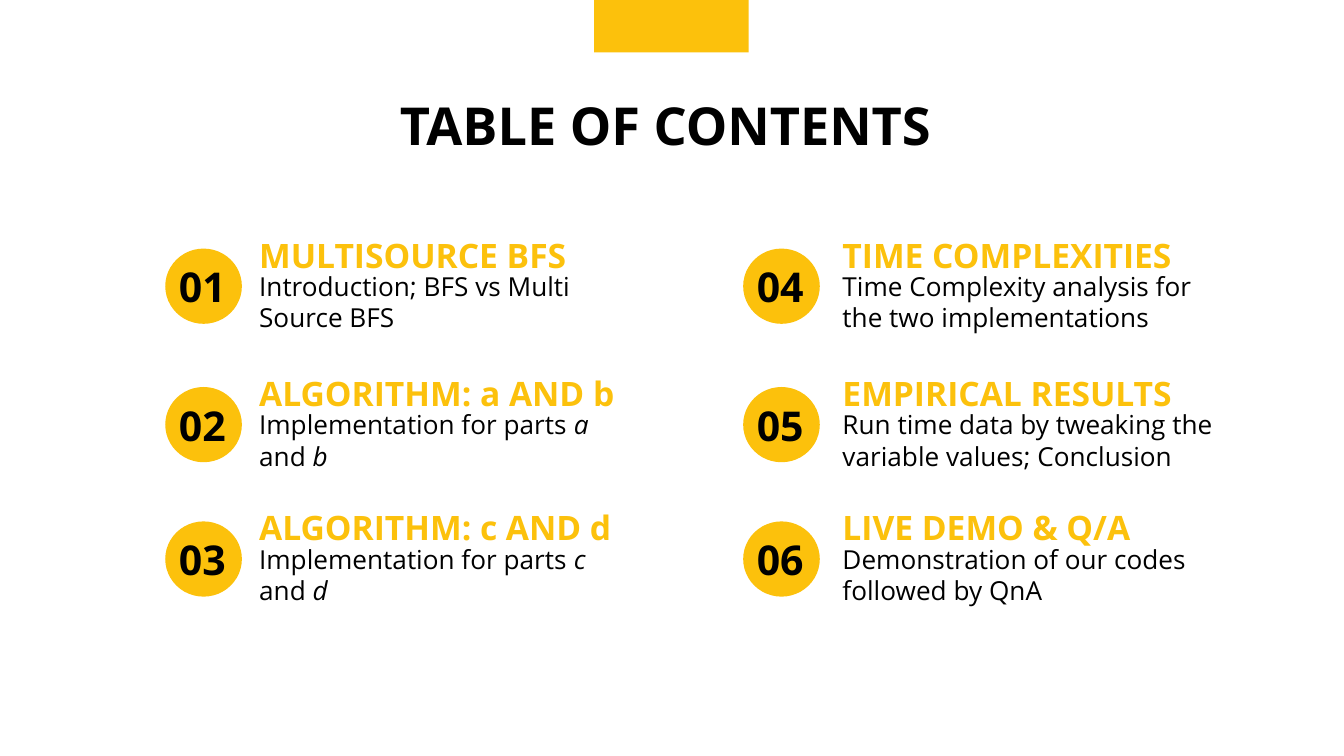
from pptx import Presentation
from pptx.dml.color import RGBColor
from pptx.enum import shapes, text
from pptx.util import Inches, Pt

GOLD, BLACK = "FCC10C", "000000"
LEFT, MID = text.PP_ALIGN.LEFT, text.PP_ALIGN.CENTER
TOP, CENTER = text.MSO_ANCHOR.TOP, text.MSO_ANCHOR.MIDDLE

TITLE = dict(size=Pt(28), bold=True)
NUMBER = dict(size=Pt(22), bold=True)
HEAD = dict(size=Pt(18), bold=True)
BODY = dict(size=Pt(14), bold=False)

# Words between asterisks are italic.
COLUMNS = [
    (1.23, 0.6, 2.88, [
        ("01", "MULTISOURCE BFS", "Introduction; BFS vs Multi Source BFS"),
        ("02", "ALGORITHM: a AND b", "Implementation for parts *a* and *b*"),
        ("03", "ALGORITHM: c AND d", "Implementation for parts *c *and *d*"),
    ]),
    (5.53, 0.64, 3.02, [
        ("04", "TIME COMPLEXITIES",
         "Time Complexity analysis for the two implementations"),
        ("05", "EMPIRICAL RESULTS",
         "Run time data by tweaking the variable values; Conclusion"),
        ("06", "LIVE DEMO & Q/A",
         "Demonstration of our codes followed by QnA"),
    ]),
]
ROWS = [1.85, 2.88, 3.88]


def color(value):
    return RGBColor.from_string(value)


def add_block(slide, kind, box):
    block = slide.shapes.add_shape(kind, *map(Inches, box))
    block.shadow.inherit = False
    block.fill.solid()
    block.fill.fore_color.rgb = color(GOLD)
    block.line.fill.background()


def add_text(slide, box, words, style, tint=BLACK, align=LEFT, anchor=TOP,
             spacing=1.0):
    frame = slide.shapes.add_textbox(*map(Inches, box)).text_frame
    frame.word_wrap = True
    frame.vertical_anchor = anchor
    for side in ("left", "top", "right", "bottom"):
        setattr(frame, f"margin_{side}", Inches(0.1))
    para = frame.paragraphs[0]
    para.alignment = align
    para.line_spacing = spacing
    for index, part in enumerate(words.split("*")):
        if not part:
            continue
        run = para.add_run()
        run.text = part
        run.font.name = "Open Sans"
        run.font.color.rgb = color(tint)
        run.font.italic = index % 2 == 1
        for key, value in style.items():
            setattr(run.font, key, value)


def add_header(slide):
    add_block(slide, shapes.MSO_SHAPE.RECTANGLE, (4.42, 0, 1.15, 0.39))
    add_text(slide, (0.99, 0.59, 8.02, 0.59), "TABLE OF CONTENTS ", TITLE,
             align=MID)


def add_entry(slide, left, top, indent, width, entry):
    number, head, body = entry
    add_block(slide, shapes.MSO_SHAPE.OVAL, (left, top, 0.57, 0.56))
    add_text(slide, (left - 0.06, top + 0.06, 0.67, 0.44), number, NUMBER,
             align=MID, anchor=CENTER)
    add_text(slide, (left + indent, top - 0.25, width, 0.44), head, HEAD,
             tint=GOLD, spacing=1.15)
    add_text(slide, (left + indent, top + 0.06, width, 0.59), body, BODY)


def main():
    deck = Presentation()
    deck.slide_width = Inches(10)
    deck.slide_height = deck.slide_width * 9 // 16
    slide = deck.slides.add_slide(deck.slide_layouts[6])
    add_header(slide)
    for left, indent, width, entries in COLUMNS:
        for top, entry in zip(ROWS, entries):
            add_entry(slide, left, top, indent, width, entry)
    deck.save("out.pptx")


if __name__ == "__main__":
    main()
